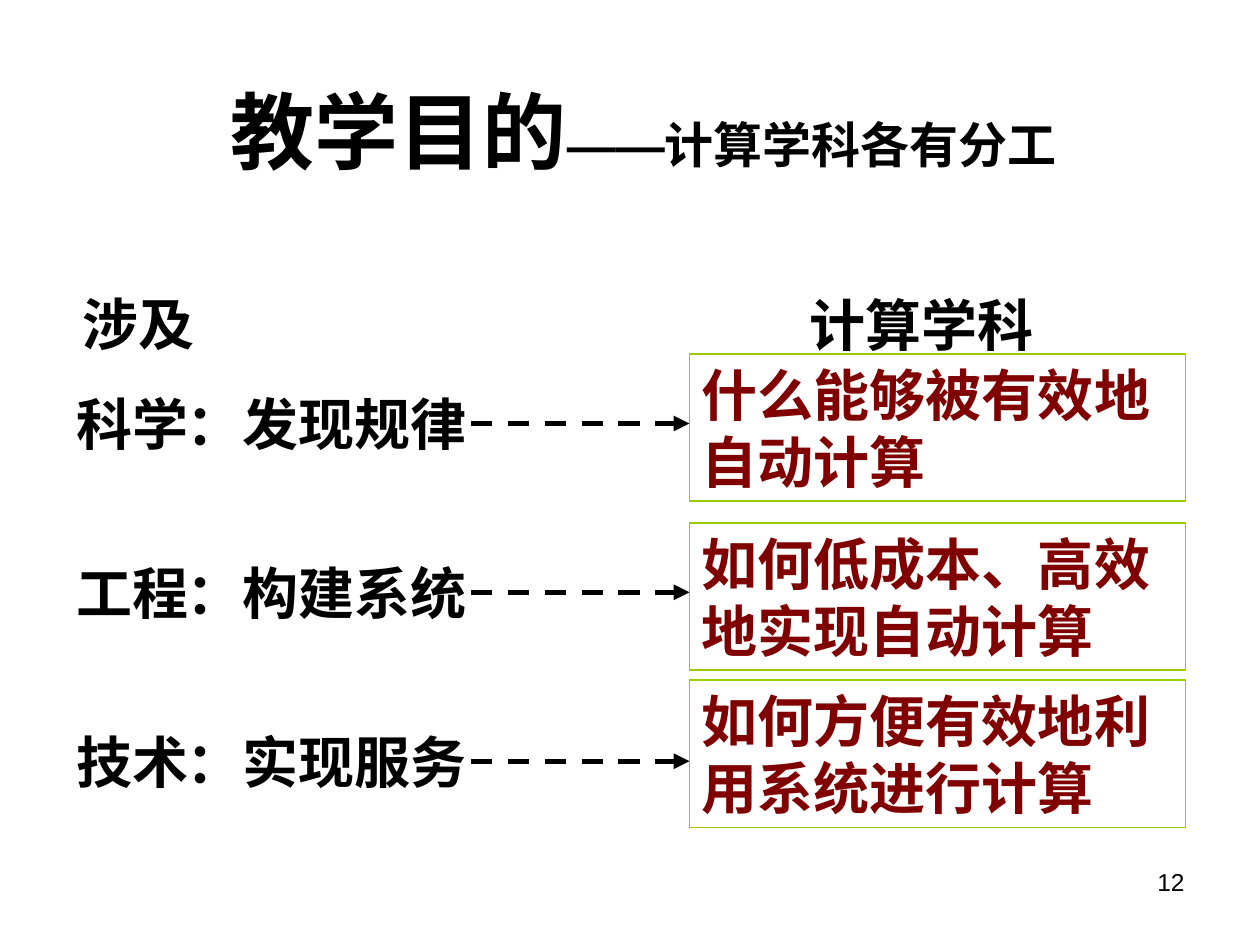
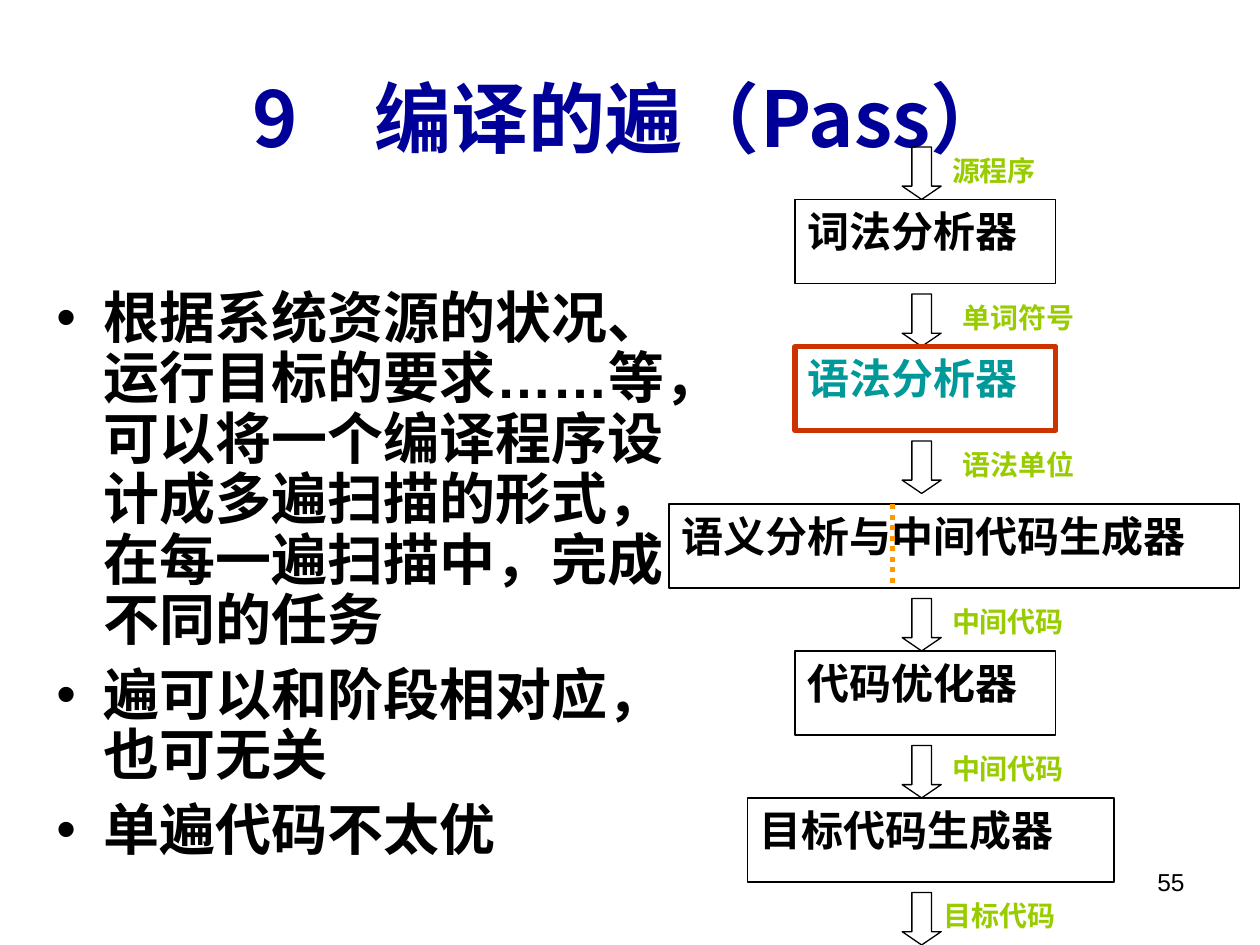
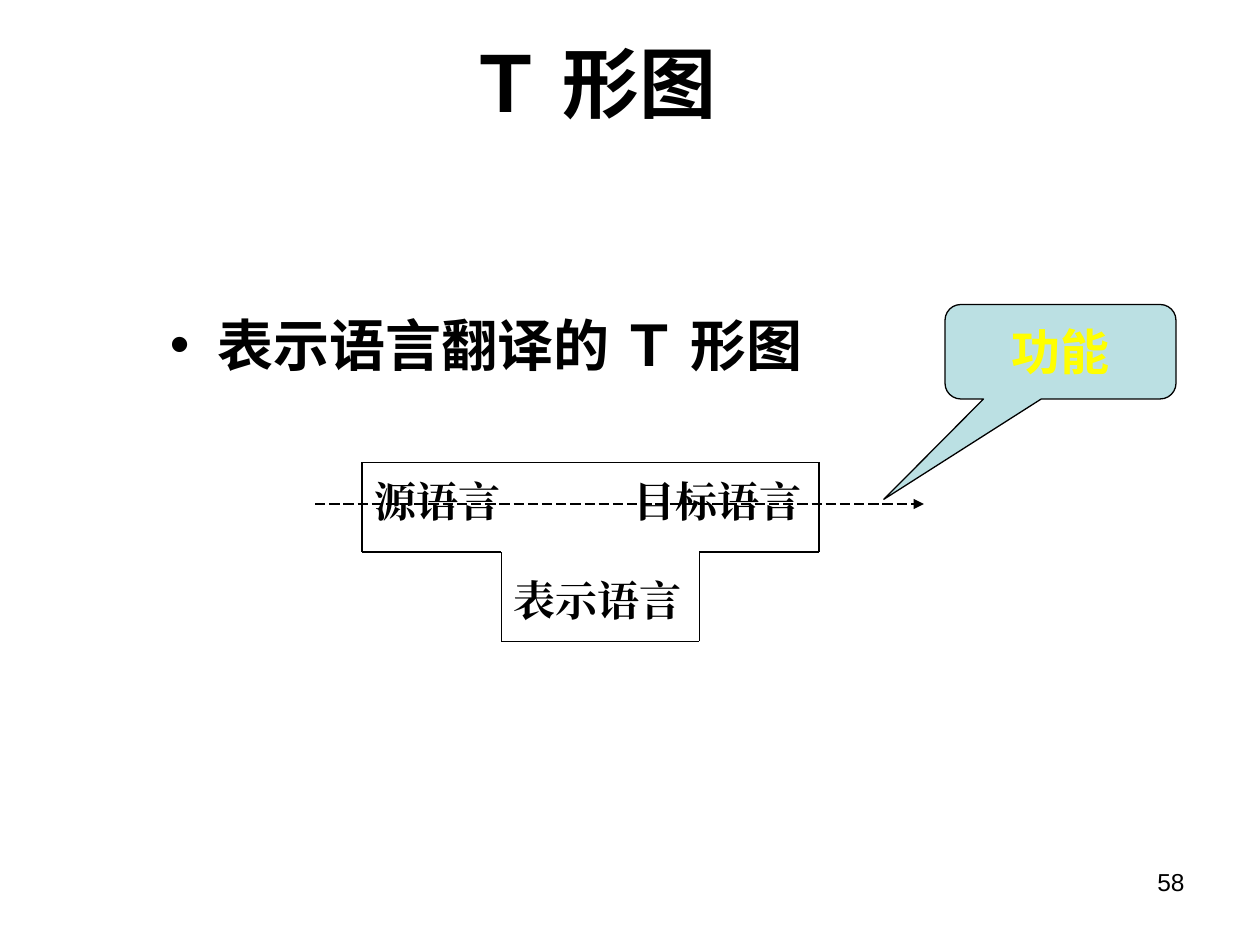
"""Build three slides of a compiler course: goals, passes and the T diagram."""
import dataclasses
import itertools

import lxml.etree
import pptx
import pptx.dml.color
import pptx.enum.dml
import pptx.enum.shapes
import pptx.enum.text
import pptx.oxml.ns
import pptx.util

Pt = pptx.util.Pt
RGB = pptx.dml.color.RGBColor.from_string
qn = pptx.oxml.ns.qn
Shape = pptx.enum.shapes.MSO_SHAPE
Dash = pptx.enum.dml.MSO_LINE
Align = pptx.enum.text.PP_ALIGN


@dataclasses.dataclass(frozen=True)
class Theme:
    """Colours, faces and sizes in use on all slides."""
    black: str = "000000"
    navy: str = "000099"
    maroon: str = "800000"
    lime: str = "99CC00"
    teal: str = "009999"
    rust: str = "CC3300"
    orange: str = "FF9900"
    yellow: str = "FFFF00"
    pale: str = "BBE0E3"
    sans: str = "Noto Sans CJK JP"
    latin: str = "Arial"
    hero: int = 48
    title: int = 44
    body: int = 32
    sub: int = 28
    label: int = 24
    note: int = 16
    page: int = 14
    thin: float = 0.75
    thick: int = 3


look = Theme()


def ink(shape, text, size, face=look.sans, hue=look.black, bold=True,
        wrap=True, align=None, bullet=False):
    """Fill a shape with styled text, setting dashes and dots in the Latin face."""
    frame = shape.text_frame
    frame.text = text
    frame.word_wrap = wrap
    frame.auto_size = pptx.enum.text.MSO_AUTO_SIZE.NONE
    for para in frame.paragraphs:
        words = para.text
        para.text = ""
        para.alignment = align
        if bullet:
            props = para._p.get_or_add_pPr()
            props.set("marL", str(Pt(27)))
            props.set("indent", str(-Pt(27)))
            lxml.etree.SubElement(props, qn("a:buFont")).set("typeface", look.latin)
            lxml.etree.SubElement(props, qn("a:buChar")).set("char", "•")
        for mark, part in itertools.groupby(words, lambda sign: sign in "—…"):
            run = para.add_run()
            run.text = "".join(part)
            run.font.name = look.latin if mark else face
            run.font.size = Pt(size)
            run.font.bold = bold
            run.font.color.rgb = RGB(hue)
            east = lxml.etree.SubElement(run._r.get_or_add_rPr(), qn("a:ea"))
            east.set("typeface", run.font.name)


def draw(slide, ends, width=look.thin, hue=look.black, dash=None, arrow=False):
    """Draw a straight line between two points."""
    line = slide.shapes.add_connector(
        pptx.enum.shapes.MSO_CONNECTOR.STRAIGHT, *map(Pt, ends))
    line.line.width = Pt(width)
    line.line.color.rgb = RGB(hue)
    if dash:
        line.line.dash_style = dash
    if arrow:
        tail = lxml.etree.SubElement(line.line._get_or_add_ln(), qn("a:tailEnd"))
        tail.set("type", "triangle")
    lxml.etree.SubElement(line._element.spPr, qn("a:effectLst"))


deck = pptx.Presentation()
deck.slide_width, deck.slide_height = Pt(720), Pt(540)

pages = [
    ("12", "教学目的——计算学科各有分工", look.hero, look.black, (65, 19.5, 605.5, 110)),
    ("55", "9　编译的遍（Pass）", look.title, look.navy, (36, 21.6, 648, 90)),
    ("58", "Ｔ 形图", look.title, look.black, (174, 22, 329, 49)),
]
for number, name, size, hue, spot in pages:
    slide = deck.slides.add_slide(deck.slide_layouts[5])
    head = slide.shapes.title
    head.left, head.top, head.width, head.height = map(Pt, spot)
    ink(head, name, size, hue=hue, align=Align.CENTER)
    head.text_frame.vertical_anchor = pptx.enum.text.MSO_ANCHOR.MIDDLE
    foot = slide.shapes.add_textbox(Pt(516), Pt(492), Pt(168), Pt(37))
    ink(foot, number, look.page, look.latin, bold=False, align=Align.RIGHT)
goals, passes, tee = deck.slides

for run in goals.shapes.title.text_frame.paragraphs[0].runs[1:]:
    run.font.size = Pt(look.sub)

for text, left, top, width, align in [
    ("涉及", 31, 162, 96.5, Align.CENTER),
    ("计算学科", 455.75, 162.75, 142.5, None),
]:
    box = goals.shapes.add_textbox(Pt(left), Pt(top), Pt(width), Pt(46))
    ink(box, text, look.body, "DejaVu Sans", wrap=False, align=align)

fields = [
    ("科学", "：发现规律", "什么能够被有效地自动计算", 202.3),
    ("工程", "：构建系统", "如何低成本、高效地实现自动计算", 298.8),
    ("技术", "：实现服务", "如何方便有效地利用系统进行计算", 388.8),
]
for row, (field, task, goal, high) in enumerate(fields):
    top = 219 + 96.5 * row
    for text, left, width in [(field, 36.7, 78.5), (task, 99.4, 174.2)]:
        box = goals.shapes.add_textbox(Pt(left), Pt(top), Pt(width), Pt(46))
        ink(box, text, look.body, "Lato", wrap=False)
    card = goals.shapes.add_shape(Shape.RECTANGLE, Pt(394), Pt(high), Pt(283.5), Pt(84.2))
    card.fill.background()
    card.line.color.rgb = RGB(look.lime)
    card.line.width = Pt(1)
    ink(card, goal, look.body, "Lato", look.maroon, align=Align.LEFT)
    draw(goals, (269.3, top + 23, 394, top + 23), look.thick, dash=Dash.DASH, arrow=True)

points = "\n".join([
    "根据系统资源的状况、运行目标的要求……等，可以将一个编译程序设计成多遍扫描的形式，在每一遍扫描中，完成不同的任务",
    "遍可以和阶段相对应，也可无关",
    "单遍代码不太优",
])
body = passes.shapes.add_textbox(Pt(25.2), Pt(162), Pt(374.4), Pt(345.6))
ink(body, points, look.body, bullet=True)
for rank, para in enumerate(body.text_frame.paragraphs):
    para.line_spacing = 0.9
    para.space_before = Pt(8 if rank else 0)

stages = [
    ("源程序", 537, "词法分析器", 454.3, 149, 30),
    ("单词符号", 543, "语法分析器", 454.3, 149, 30),
    ("语法单位", 543, "语义分析与中间代码生成器", 382.3, 326.2, 36),
    ("中间代码", 537, "代码优化器", 454.3, 149, 30),
    ("中间代码", 537, "目标代码生成器", 427, 209.5, 30),
    ("目标代码", 532, None, 0, 0, 0),
]
top = 84
for note, side, name, left, width, drop in stages:
    arrow = passes.shapes.add_shape(Shape.DOWN_ARROW, Pt(515.5), Pt(top), Pt(22.3), Pt(30))
    arrow.adjustments[1] = 0.34
    arrow.fill.background()
    arrow.line.color.rgb = RGB(look.black)
    arrow.line.width = Pt(look.thin)
    label = passes.shapes.add_textbox(Pt(side), Pt(top), Pt(88.5), Pt(24))
    ink(label, note, look.note, hue=look.lime)
    if name:
        focus = name == "语法分析器"
        stage = passes.shapes.add_shape(
            Shape.RECTANGLE, Pt(left), Pt(top + drop), Pt(width), Pt(48))
        stage.fill.background()
        stage.line.color.rgb = RGB(look.rust if focus else look.black)
        stage.line.width = Pt(look.thick if focus else look.thin)
        ink(stage, name, look.label, hue=look.teal if focus else look.black,
            align=Align.LEFT)
    top += drop + 54
draw(passes, (510, 288, 510, 336), look.thick, look.orange, Dash.ROUND_DOT)

lead = tee.shapes.add_textbox(Pt(90), Pt(174), Pt(612), Pt(60))
ink(lead, "表示语言翻译的 Ｔ 形图", look.body, align=Align.JUSTIFY, bullet=True)

for text, left, top, width in [
    ("源语言", 207, 268, 86.5),
    ("表示语言", 286.5, 324.7, 110),
    ("目标语言", 355, 268, 110),
]:
    box = tee.shapes.add_textbox(Pt(left), Pt(top), Pt(width), Pt(36))
    ink(box, text, look.label, "Times New Roman", wrap=False)

draw(tee, (180, 288, 528, 288), dash=Dash.LONG_DASH, arrow=True)
call = tee.shapes.add_shape(
    Shape.ROUNDED_RECTANGULAR_CALLOUT, Pt(540), Pt(174), Pt(132), Pt(54))
for rank, value in enumerate((-0.765, 1.562, 0.167)):
    call.adjustments[rank] = value
call.fill.solid()
call.fill.fore_color.rgb = RGB(look.pale)
call.line.color.rgb = RGB(look.black)
call.line.width = Pt(look.thin)
ink(call, "功能", look.sub, "Noto Sans CJK SC", look.yellow, align=Align.CENTER)
call.text_frame.paragraphs[0].line_spacing = 1.1

edge = [(206.8, 264.2), (468, 264.2), (468, 315.4), (399.6, 315.4),
        (399.6, 366.5), (286.5, 366.5), (286.5, 315.4), (206.8, 315.4)]
for start, end in zip(edge, edge[1:] + edge[:1]):
    draw(tee, start + end)

for slide in deck.slides:
    for shape in slide.shapes:
        if shape.shape_type == pptx.enum.shapes.MSO_SHAPE_TYPE.AUTO_SHAPE:
            shape.shadow.inherit = False
            shape.text_frame.vertical_anchor = pptx.enum.text.MSO_ANCHOR.TOP

deck.save("out.pptx")
